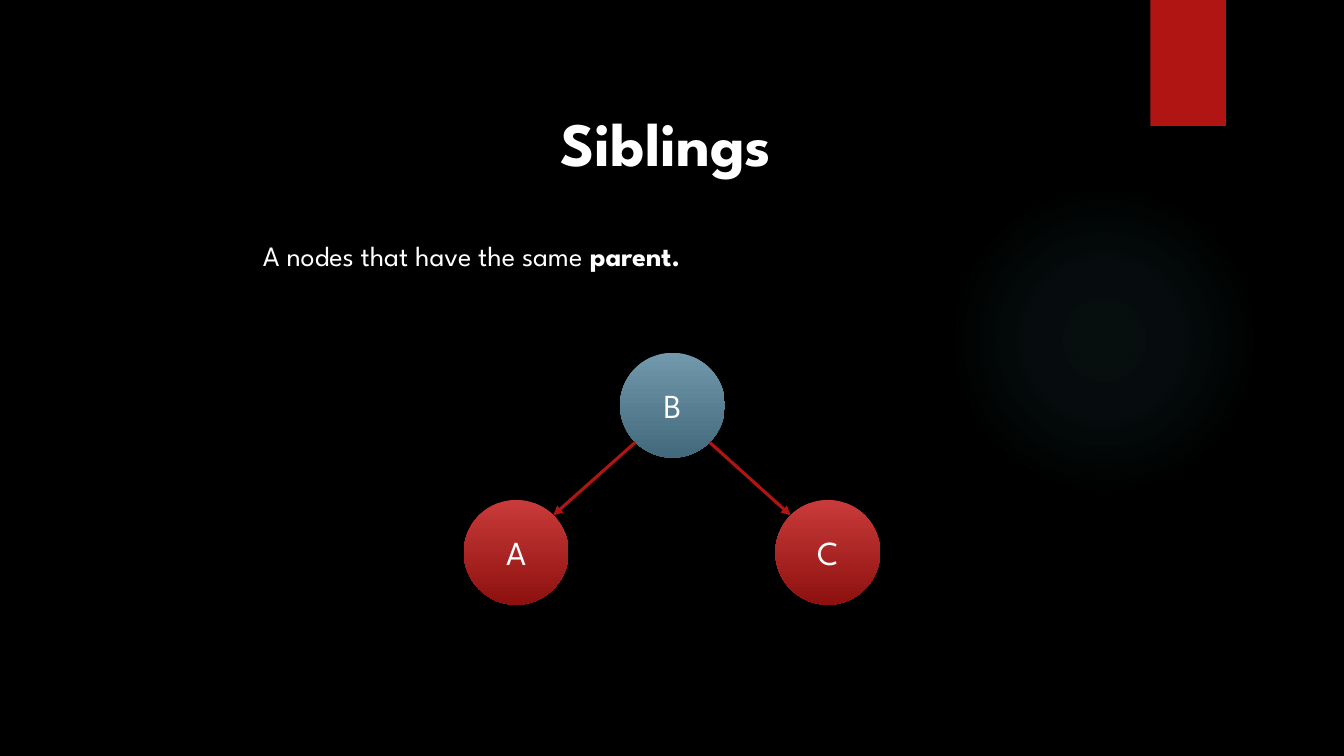
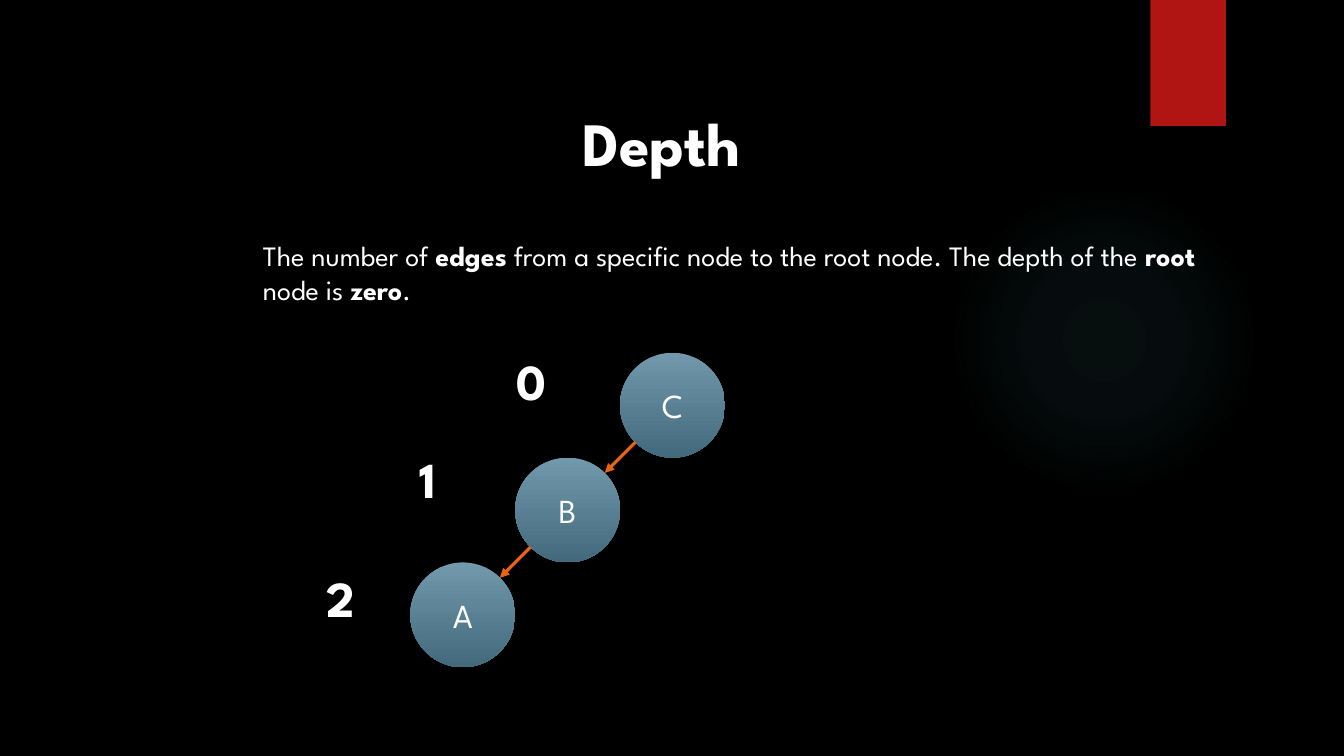
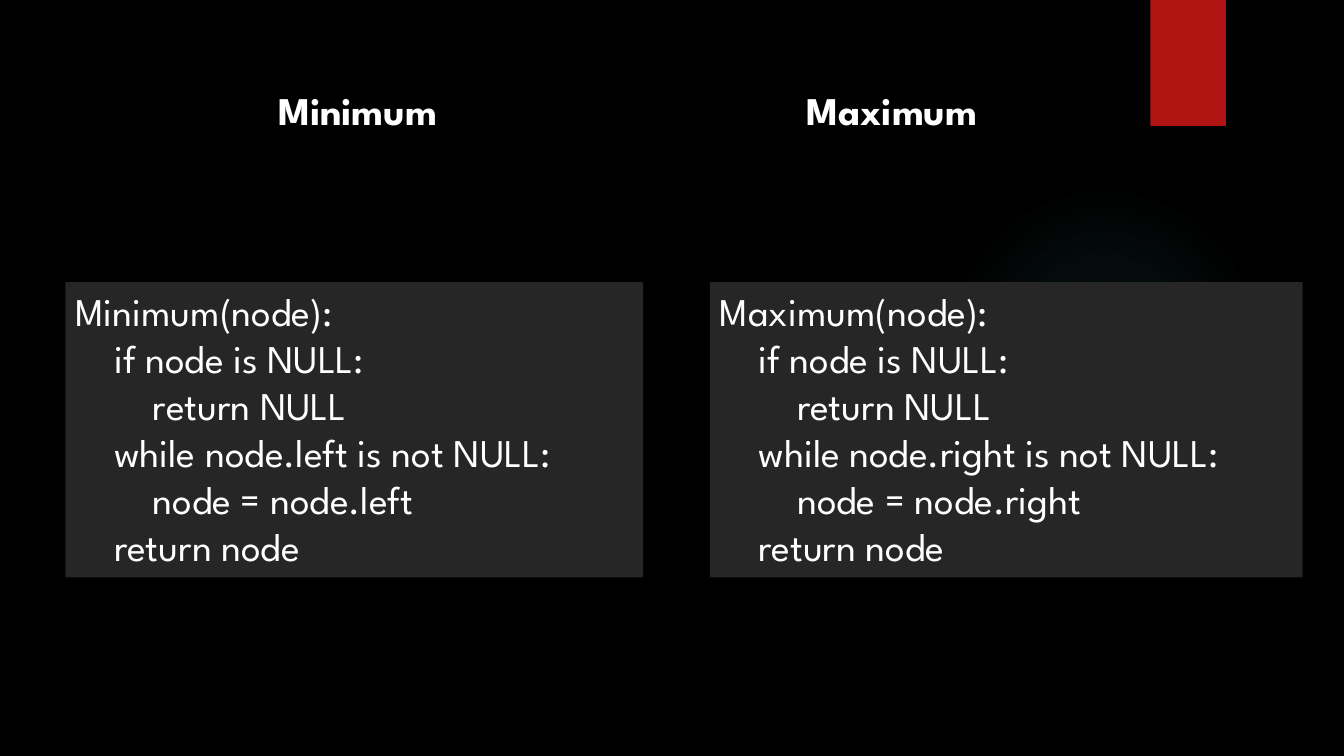
"""Build three slides on tree terms and binary search tree minimum and maximum."""
from math import copysign, sqrt

from pptx import Presentation
from pptx.dml.color import RGBColor
from pptx.enum.shapes import MSO_CONNECTOR, MSO_SHAPE
from pptx.enum.text import MSO_ANCHOR, MSO_AUTO_SIZE, PP_ALIGN
from pptx.oxml import parse_xml
from pptx.oxml.ns import nsdecls, qn
from pptx.util import Inches, Pt

FONT = "League Spartan"
BLACK, WHITE, RED, ORANGE, GRAY = "000000", "FFFFFF", "B01513", "EA6312", "262626"
BLUE_NODE = ("7198AB", "436A7C")
RED_NODE = ("C93B3A", "8D110F")
GLOW, GLOW_STOPS = "50B9C1", ((0, 7), (36, 6), (69, 0))
NODE_SIZE = 1.04
ROOT_CENTER = (6.67, 4.02)
TITLE_CENTER = 6.67


def rgb(value):
    """Turn a hex string into a colour."""
    return RGBColor.from_string(value)


def add_runs(paragraph, runs, size):
    """Write (text, bold) runs in the deck's font."""
    for text, bold in runs:
        run = paragraph.add_run()
        run.text = text
        run.font.name = FONT
        run.font.size = Pt(size)
        run.font.bold = bold
        run.font.color.rgb = rgb(WHITE)


def add_text(slide, box, runs, size, wrap=True, after=0):
    """Add a one-paragraph text box."""
    frame = slide.shapes.add_textbox(*map(Inches, box)).text_frame
    frame.word_wrap = wrap
    frame.auto_size = MSO_AUTO_SIZE.SHAPE_TO_FIT_TEXT
    paragraph = frame.paragraphs[0]
    paragraph.space_after = Pt(after)
    add_runs(paragraph, runs, size)


def add_plain_shape(slide, kind, box):
    """Add a preset shape with no line and no shadow."""
    shape = slide.shapes.add_shape(kind, *map(Inches, box))
    shape.shadow.inherit = False
    shape.line.fill.background()
    return shape


def add_block(slide, box, color):
    """Add a rectangle of one colour."""
    block = add_plain_shape(slide, MSO_SHAPE.RECTANGLE, box)
    block.fill.solid()
    block.fill.fore_color.rgb = rgb(color)
    return block


def add_glow(slide):
    """Add the faint round glow on the right."""
    glow = add_plain_shape(slide, MSO_SHAPE.OVAL, (9.41, 1.83, 3.08, 3.08))
    glow.fill.gradient()
    stops = "".join(
        f'<a:gs pos="{place * 1000}"><a:srgbClr val="{GLOW}">'
        f'<a:alpha val="{alpha * 1000}"/></a:srgbClr></a:gs>'
        for place, alpha in GLOW_STOPS
    )
    radial = parse_xml(
        f'<a:gradFill {nsdecls("a")} rotWithShape="1"><a:gsLst>{stops}</a:gsLst>'
        '<a:path path="circle"><a:fillToRect l="50000" t="50000" r="50000" b="50000"/>'
        "</a:path></a:gradFill>"
    )
    properties = glow._element.spPr
    properties.replace(properties.find(qn("a:gradFill")), radial)


def add_slide(deck):
    """Add a blank slide with the glow and the red tab."""
    slide = deck.slides.add_slide(deck.slide_layouts[6])
    add_glow(slide)
    add_block(slide, (11.41, 0, 0.75, 1.25), RED)
    return slide


def add_title(slide, title, width):
    """Add the centred slide title."""
    box = (TITLE_CENTER - width / 2, 0.99, width, 0.84)
    add_text(slide, box, [(title, True)], 44, wrap=False)


def add_definition(slide, runs, height):
    """Add the sentence that defines the term."""
    add_text(slide, (2.51, 2.32, 9.59, height), runs, 20, after=18)


def add_node(slide, letter, center, colors):
    """Add a round tree node around its centre."""
    left, top = (value - NODE_SIZE / 2 for value in center)
    node = add_plain_shape(slide, MSO_SHAPE.OVAL, (left, top, NODE_SIZE, NODE_SIZE))
    node.fill.gradient()
    node.fill.gradient_angle = 270
    for stop, color in zip(node.fill.gradient_stops, colors):
        stop.color.rgb = rgb(color)
    node.text_frame.vertical_anchor = MSO_ANCHOR.MIDDLE
    paragraph = node.text_frame.paragraphs[0]
    paragraph.alignment = PP_ALIGN.CENTER
    add_runs(paragraph, [(letter, False)], 24)


def add_edge(slide, parent, child, color):
    """Add an arrow between the facing diagonal points of two nodes."""
    reach = NODE_SIZE / 2 / sqrt(2)
    side = copysign(reach, child[0] - parent[0])
    ends = (parent[0] + side, parent[1] + reach, child[0] - side, child[1] - reach)
    edge = slide.shapes.add_connector(MSO_CONNECTOR.STRAIGHT, *map(Inches, ends))
    edge.line.color.rgb = rgb(color)
    edge.line.width = Pt(2.25)
    properties = edge._element.spPr
    properties.find(qn("a:ln")).append(
        parse_xml(f'<a:tailEnd {nsdecls("a")} type="triangle"/>')
    )
    properties.append(parse_xml(f'<a:effectLst {nsdecls("a")}/>'))


def add_code(slide, left, width, name, branch):
    """Add the pseudocode panel that follows one branch."""
    panel = add_block(slide, (left, 2.8, width, 2.93), GRAY)
    frame = panel.text_frame
    frame.word_wrap = True
    frame.auto_size = MSO_AUTO_SIZE.SHAPE_TO_FIT_TEXT
    frame.vertical_anchor = MSO_ANCHOR.TOP
    lines = (
        f"{name}(node):",
        "    if node is NULL:",
        "        return NULL",
        f"    while node.{branch} is not NULL:",
        f"        node = node.{branch}",
        "    return node",
    )
    for index, line in enumerate(lines):
        paragraph = frame.add_paragraph() if index else frame.paragraphs[0]
        paragraph.alignment = PP_ALIGN.LEFT
        add_runs(paragraph, [(line, False)], 28)


def build_siblings(deck):
    """Build the slide on siblings."""
    slide = add_slide(deck)
    add_title(slide, "Siblings", 2.42)
    add_definition(
        slide, [("A nodes that have the same ", False), ("parent.", True)], 0.44
    )
    add_node(slide, "B", ROOT_CENTER, BLUE_NODE)
    for letter, offset in (("A", -1.55), ("C", 1.54)):
        child = (ROOT_CENTER[0] + offset, ROOT_CENTER[1] + 1.46)
        add_node(slide, letter, child, RED_NODE)
        add_edge(slide, ROOT_CENTER, child, RED)


def build_depth(deck):
    """Build the slide on depth."""
    slide = add_slide(deck)
    add_title(slide, "Depth", 1.99)
    add_definition(
        slide,
        [
            ("The number of ", False),
            ("edges", True),
            (" from a specific node to the root node. The depth of the ", False),
            ("root", True),
            (" node is ", False),
            ("zero", True),
            (".", False),
        ],
        0.77,
    )
    centers = [
        (ROOT_CENTER[0] - level * NODE_SIZE, ROOT_CENTER[1] + level * NODE_SIZE)
        for level in range(3)
    ]
    for letter, center in zip("CBA", centers):
        add_node(slide, letter, center, BLUE_NODE)
    for parent, child in zip(centers, centers[1:]):
        add_edge(slide, parent, child, ORANGE)
    for level, (left, top) in enumerate(((5.02, 3.42), (4.06, 4.4), (3.14, 5.58))):
        add_text(slide, (left, top, 0.48, 0.71), [(str(level), True)], 36, wrap=False)


def build_extremes(deck):
    """Build the slide on minimum and maximum."""
    slide = add_slide(deck)
    for name, branch, heading_left, heading_width, code_left, code_width in (
        ("Minimum", "left", 2.66, 2.03, 0.65, 5.73),
        ("Maximum", "right", 7.9, 2.35, 7.04, 5.88),
    ):
        add_text(slide, (heading_left, 0.81, heading_width, 0.57), [(name, True)], 28)
        add_code(slide, code_left, code_width, name, branch)


def main():
    """Build and save the deck."""
    deck = Presentation()
    deck.slide_width, deck.slide_height = Inches(13.33), Inches(7.5)
    background = deck.slide_master.background.fill
    background.solid()
    background.fore_color.rgb = rgb(BLACK)
    build_siblings(deck)
    build_depth(deck)
    build_extremes(deck)
    deck.save("out.pptx")


if __name__ == "__main__":
    main()
